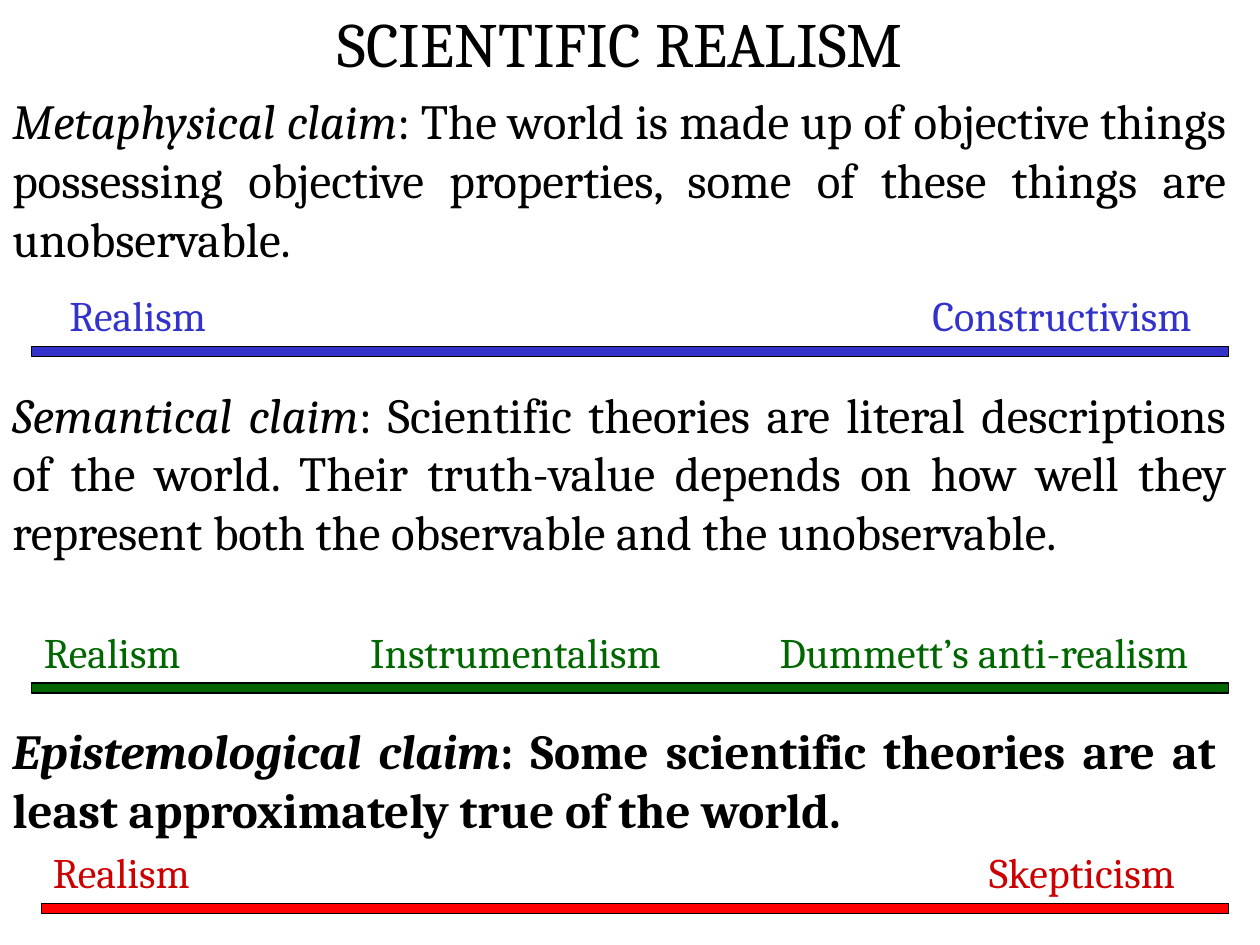
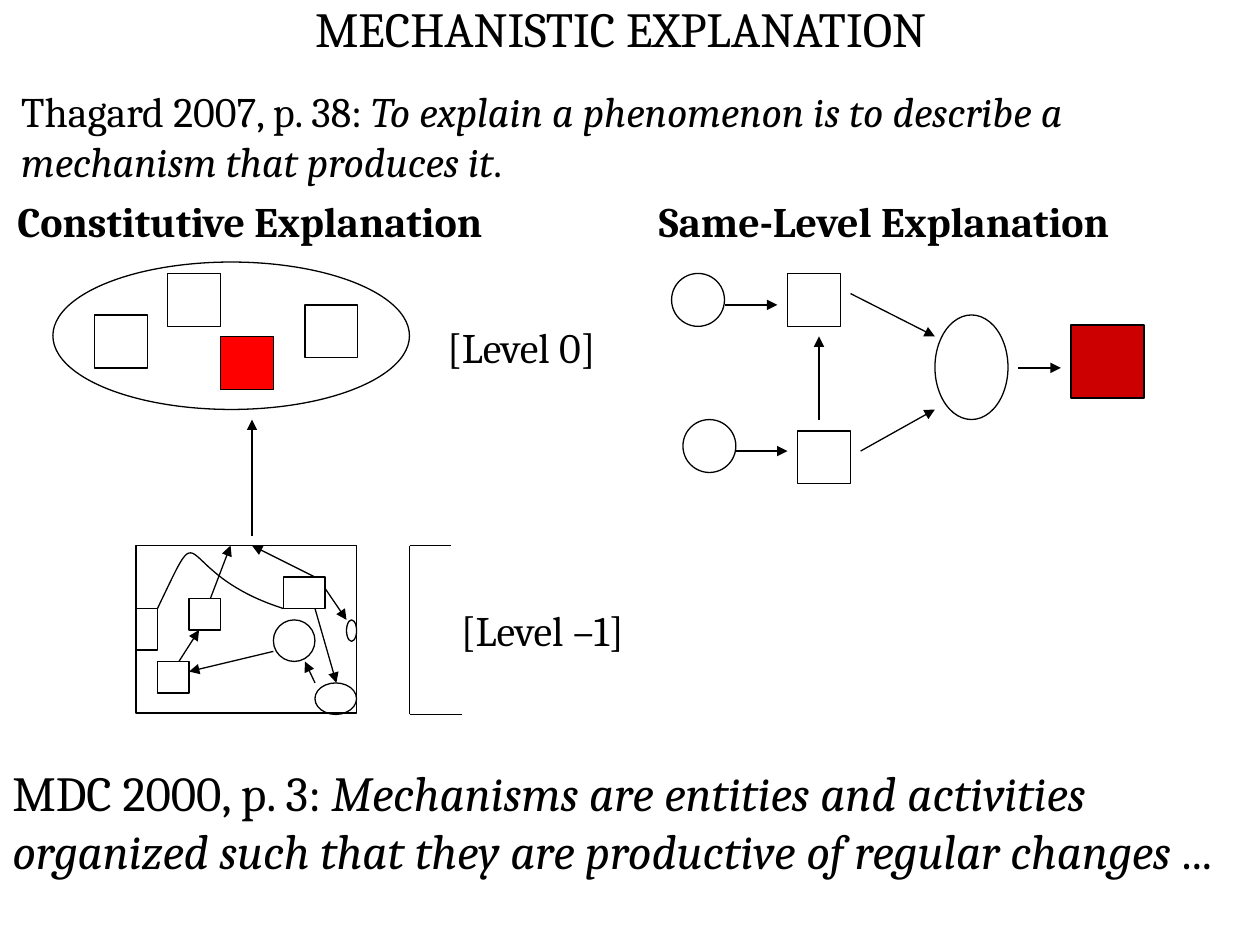
from lxml import etree
from pptx import Presentation
from pptx.dml.color import RGBColor
from pptx.enum.shapes import MSO_CONNECTOR, MSO_SHAPE
from pptx.enum.text import MSO_ANCHOR, MSO_AUTO_SIZE, PP_ALIGN
from pptx.oxml.ns import qn
from pptx.util import Inches, Pt

RECTANGLE, OVAL = MSO_SHAPE.RECTANGLE, MSO_SHAPE.OVAL
STRAIGHT = MSO_CONNECTOR.STRAIGHT
LEFT, JUSTIFY = PP_ALIGN.LEFT, PP_ALIGN.JUSTIFY
TOP, MIDDLE = MSO_ANCHOR.TOP, MSO_ANCHOR.MIDDLE
FIXED, GROW = MSO_AUTO_SIZE.NONE, MSO_AUTO_SIZE.SHAPE_TO_FIT_TEXT
TITLE_ONLY = 5

COLORS = {"black": "000000", "blue": "3333CC", "green": "006600",
          "red": "FF0000", "dark red": "CC0000"}
ITALIC, BOLD = {"italic": True}, {"bold": True}


def color(name):
    return RGBColor.from_string(COLORS[name])


class Deck:
    font_name = "Cambria"
    line_width = Pt(0.74)

    def __init__(self):
        self.presentation = Presentation()
        self.presentation.slide_width = Inches(10)
        self.presentation.slide_height = Inches(7.5)
        self.slide = None

    def add_slide(self):
        layout = self.presentation.slide_layouts[TITLE_ONLY]
        self.slide = self.presentation.slides.add_slide(layout)

    def fill_text(self, shape, runs, size, ink="black", align=LEFT, frame=None):
        """Fill a shape with one paragraph; each run is (text, font values)."""
        text_frame = shape.text_frame
        settings = {"word_wrap": True, "vertical_anchor": TOP,
                    "auto_size": GROW, **(frame or {})}
        for name, value in settings.items():
            setattr(text_frame, name, value)
        paragraph = text_frame.paragraphs[0]
        paragraph.alignment = align
        for text, values in runs:
            run = paragraph.add_run()
            run.text = text
            font = {"name": self.font_name, "size": Pt(size), **values}
            for name, value in font.items():
                setattr(run.font, name, value)
            run.font.color.rgb = color(ink)
        return paragraph

    def title(self, text, box, size, align=LEFT, frame=None):
        shape = self.slide.shapes.title
        sides = ("left", "top", "width", "height")
        for side, length in zip(sides, box):
            setattr(shape, side, Inches(length))
        self.fill_text(shape, [(text, {})], size, align=align,
                       frame={"auto_size": FIXED, **(frame or {})})

    def text(self, box, runs, size, **options):
        shape = self.slide.shapes.add_textbox(*map(Inches, box))
        return self.fill_text(shape, runs, size, **options)

    def labels(self, box, words, stops, ink, indent=0.1):
        """Labels in one row, the later ones set on tab stops."""
        paragraph = self.text(box, [("\t".join(words), {})], 24, ink=ink,
                              frame={"margin_left": Inches(indent)})
        properties = paragraph._p.get_or_add_pPr()
        tab_list = etree.SubElement(properties, qn("a:tabLst"))
        for stop in stops:
            etree.SubElement(tab_list, qn("a:tab"), pos=str(Inches(stop)), algn="l")

    def outline(self, shape, fill=None):
        shape.shadow.inherit = False
        if fill:
            shape.fill.solid()
            shape.fill.fore_color.rgb = color(fill)
        else:
            shape.fill.background()
        shape.line.color.rgb = color("black")
        shape.line.width = self.line_width

    def shape(self, kind, box, fill=None):
        shape = self.slide.shapes.add_shape(kind, *map(Inches, box))
        self.outline(shape, fill)

    def line(self, start, end, arrow=False):
        connector = self.slide.shapes.add_connector(
            STRAIGHT, *map(Inches, (*start, *end)))
        connector.line.color.rgb = color("black")
        connector.line.width = self.line_width
        properties = connector.element.spPr
        if arrow:
            etree.SubElement(properties.find(qn("a:ln")), qn("a:tailEnd"), type="triangle")
        etree.SubElement(properties, qn("a:effectLst"))

    def curve(self, controls, steps=40):
        """Cubic Bezier curve drawn as short segments."""
        points = []
        for step in range(steps + 1):
            t = step / steps
            weights = ((1 - t) ** 3, 3 * t * (1 - t) ** 2, 3 * t * t * (1 - t), t ** 3)
            points.append(tuple(
                Inches(sum(w * point[axis] for w, point in zip(weights, controls)))
                for axis in (0, 1)))
        builder = self.slide.shapes.build_freeform(*points[0])
        builder.add_line_segments(points[1:], close=False)
        self.outline(builder.convert_to_shape())


deck = Deck()

# Slide 1: three claims, each with a scale of positions
deck.add_slide()
deck.title("SCIENTIFIC REALISM", (2.58, 0, 4.83, 0.67), 36, JUSTIFY,
           {"vertical_anchor": MIDDLE})

claims = [
    ((0, 0.67, 9.83, 1.5), "Metaphysical claim",
     ": The world is made up of objective things possessing objective "
     "properties, some of these things are unobservable.", {}),
    ((0, 3, 9.83, 1.5), "Semantical claim",
     ": Scientific theories are literal descriptions of the world. Their "
     "truth-value depends on how well they represent both the observable "
     "and the unobservable.", {}),
    ((0, 5.67, 9.75, 1.04), "Epistemological claim",
     ": Some scientific theories are at least approximately true of the world.",
     BOLD),
]
for box, name, statement, weight in claims:
    deck.text(box, [(name, {**ITALIC, **weight}), (statement, weight)], 28,
              align=JUSTIFY)

for left, top, fill in ((0.25, 2.75, "blue"), (0.25, 5.42, "green"),
                        (0.33, 7.17, "red")):
    deck.shape(RECTANGLE, (left, top, 9.75 - left, 0.08), fill)

deck.labels((0.3, 2.25, 9.26, 0.5), ["Realism", "Constructivism"],
            [6.85], "blue", indent=0.25)
deck.labels((0.25, 4.92, 9.57, 0.5),
            ["Realism", "Instrumentalism", "Dummett’s anti-realism"],
            [2.59, 5.84], "green")
deck.labels((0.25, 6.67, 9.43, 0.5), ["Realism", "Skepticism"],
            [7.43], "dark red", indent=0.17)

# Slide 2: two kinds of mechanistic explanation
deck.add_slide()
one_line = {"word_wrap": False}
deck.title("MECHANISTIC EXPLANATION", (2.4, -0.06, 5.09, 0.57), 28, frame=one_line)
deck.text((0.07, 0.63, 9.77, 0.9),
          [("Thagard 2007, p. 38:", {}),
           (" To explain a phenomenon is to describe a mechanism that produces it",
            ITALIC),
           (".", {})], 24)
deck.text((0, 6, 10, 1.04),
          [("MDC 2000, p. 3: ", {}),
           ("Mechanisms are entities and activities organized such that they "
            "are productive of regular changes", ITALIC),
           (" ...", {})], 28)

# Headings and level labels
for box, words, weight in (
        ((0.04, 1.5, 3.91, 0.5), "Constitutive Explanation", BOLD),
        ((5.13, 1.5, 3.78, 0.5), "Same-Level Explanation", BOLD),
        ((3.45, 2.5, 1.38, 0.5), "[Level 0]", {}),
        ((3.56, 4.75, 1.5, 0.5), "[Level –1]", {})):
    deck.text(box, [(words, weight)], 24, frame=one_line)

# Constitutive: the phenomenon above and its mechanism below
deck.shape(OVAL, (0.42, 2.08, 2.83, 1.17))
deck.shape(RECTANGLE, (1.08, 4.33, 1.75, 1.33))
for box in ((1.25, 5.25, 0.25, 0.25), (1.5, 4.75, 0.25, 0.25),
            (1.08, 4.83, 0.17, 0.33), (2.25, 4.58, 0.33, 0.25)):
    deck.shape(RECTANGLE, box)
for box in ((2.17, 4.92, 0.33, 0.33), (2.5, 5.42, 0.33, 0.25),
            (2.75, 4.92, 0.08, 0.17)):
    deck.shape(OVAL, box)
deck.curve([(2.25, 4.83), (1.34, 4.54), (1.65, 4), (1.25, 4.83)])

# Bracket of the lower level
for start, end in (((3.25, 4.33), (3.25, 5.67)), ((3.25, 4.33), (3.58, 4.33)),
                   ((3.25, 5.67), (3.67, 5.67))):
    deck.line(start, end)

# Equal squares and circles of both diagrams
PART = 0.42
for kind, left, top, fill in (
        (RECTANGLE, 1.75, 2.67, "red"), (RECTANGLE, 0.75, 2.5, None),
        (RECTANGLE, 2.42, 2.42, None), (RECTANGLE, 1.33, 2.17, None),
        (OVAL, 5.33, 2.17, None), (OVAL, 5.42, 3.33, None),
        (RECTANGLE, 6.25, 2.17, None), (RECTANGLE, 6.33, 3.42, None)):
    deck.shape(kind, (left, top, PART, PART), fill)

# Same-level: the last cause and its effect
deck.shape(OVAL, (7.42, 2.5, 0.58, 0.83))
deck.shape(RECTANGLE, (8.5, 2.58, 0.58, 0.58), "dark red")

constitutive_arrows = [
    ((2, 4.25), (2, 3.33)), ((2.17, 5.17), (1.5, 5.33)),
    ((2.5, 4.83), (2.67, 5.42)), ((2.5, 5.42), (2.42, 5.25)),
    ((1.42, 5.25), (1.58, 5)), ((2.5, 4.58), (2, 4.33)),
    ((1.67, 4.75), (1.83, 4.33)), ((2.58, 4.67), (2.75, 4.92)),
]
same_level_arrows = [
    ((6.5, 3.33), (6.5, 2.67)), ((5.83, 3.58), (6.25, 3.58)),
    ((5.75, 2.42), (6.17, 2.42)), ((6.75, 2.33), (7.42, 2.67)),
    ((6.83, 3.58), (7.42, 3.25)), ((8.08, 2.92), (8.42, 2.92)),
]
for start, end in constitutive_arrows + same_level_arrows:
    deck.line(start, end, arrow=True)

deck.presentation.save("out.pptx")
